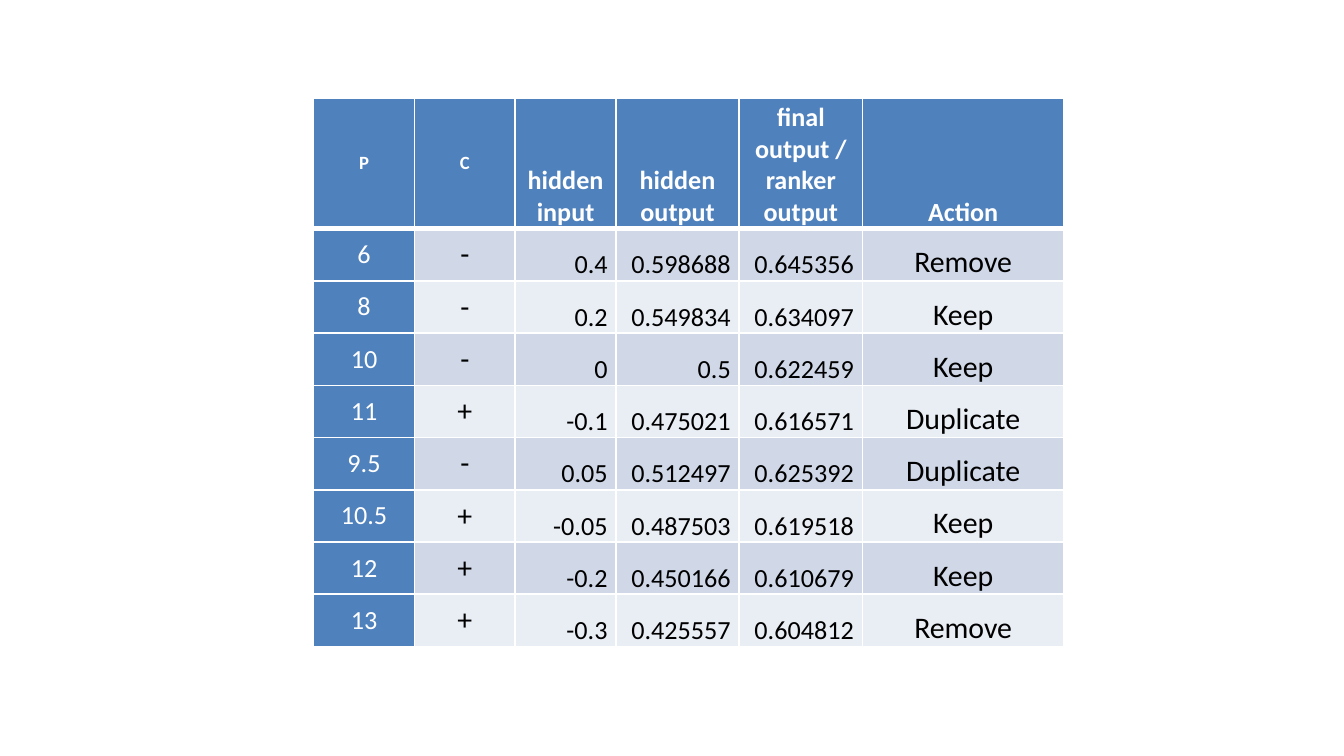
from lxml import etree
from pptx import Presentation
from pptx import util as u
from pptx.dml.color import RGBColor
from pptx.enum import text
from pptx.oxml import ns

Pt = u.Pt
CENTER, RIGHT = text.PP_ALIGN.CENTER, text.PP_ALIGN.RIGHT
MIDDLE, BOTTOM = text.MSO_ANCHOR.MIDDLE, text.MSO_ANCHOR.BOTTOM

THEME = dict(font="Calibri", accent="4F81BD", bands=("D0D8E8", "E9EDF4"),
             light="FFFFFF", dark="000000", line=1, heavy_line=3)

# heading, width, heading size, body size, body alignment, anchor
COLUMNS = [
    ("P", 54, 10, 14, CENTER, MIDDLE),
    ("C", 54, 10, 16, CENTER, MIDDLE),
    ("hidden input", 54, 14, 14, RIGHT, BOTTOM),
    ("hidden output", 66, 14, 14, RIGHT, BOTTOM),
    ("final output / ranker output", 66, 14, 14, RIGHT, BOTTOM),
    ("Action", 108, 14, 16, CENTER, BOTTOM),
]
ROWS = [
    ("6", "-", "0.4", "0.598688", "0.645356", "Remove"),
    ("8", "-", "0.2", "0.549834", "0.634097", "Keep"),
    ("10", "-", "0", "0.5", "0.622459", "Keep"),
    ("11", "+", "-0.1", "0.475021", "0.616571", "Duplicate"),
    ("9.5", "-", "0.05", "0.512497", "0.625392", "Duplicate"),
    ("10.5", "+", "-0.05", "0.487503", "0.619518", "Keep"),
    ("12", "+", "-0.2", "0.450166", "0.610679", "Keep"),
    ("13", "+", "-0.3", "0.425557", "0.604812", "Remove"),
]
LEFT, TOP, HEADER_HEIGHT, ROW_HEIGHT, SIDE_MARGIN = 168, 52.5, 70, 28, 4.5


def add_borders(cell, widths):
    """Add left, right, top and bottom lines; call before filling the cell."""
    tc_pr = cell._tc.get_or_add_tcPr()
    for side, width in zip("LRTB", widths):
        ln = etree.SubElement(tc_pr, ns.qn(f"a:ln{side}"), w=str(Pt(width)))
        fill = etree.SubElement(ln, ns.qn("a:solidFill"))
        etree.SubElement(fill, ns.qn("a:srgbClr"), val=THEME["light"])


def format_cell(cell, words, row, col):
    _, _, head_size, body_size, align, anchor = COLUMNS[col]
    header = row == 0
    accented = header or col == 0
    thin, heavy = THEME["line"], THEME["heavy_line"]
    add_borders(cell, (thin, thin, heavy if row == 1 else thin,
                       heavy if header else thin))
    cell.fill.solid()
    cell.fill.fore_color.rgb = RGBColor.from_string(
        THEME["accent"] if accented else THEME["bands"][(row - 1) % 2])
    cell.margin_left = cell.margin_right = Pt(SIDE_MARGIN)
    cell.margin_top = cell.margin_bottom = 0
    cell.vertical_anchor = anchor
    cell.text = words
    p = cell.text_frame.paragraphs[0]
    p.alignment = CENTER if header else align
    p.font.name = THEME["font"]
    p.font.size = Pt(head_size if header else body_size)
    p.font.bold = header
    p.font.color.rgb = RGBColor.from_string(THEME["light" if accented else "dark"])


def main():
    prs = Presentation()
    prs.slide_width, prs.slide_height = Pt(720), Pt(405)
    s = prs.slides.add_slide(prs.slide_layouts[6])

    grid = [[column[0] for column in COLUMNS], *ROWS]
    heights = [HEADER_HEIGHT] + [ROW_HEIGHT] * len(ROWS)
    widths = [column[1] for column in COLUMNS]
    table = s.shapes.add_table(len(grid), len(COLUMNS), Pt(LEFT), Pt(TOP),
                               Pt(sum(widths)), Pt(sum(heights))).table
    table.first_col = True
    for column, width in zip(table.columns, widths):
        column.width = Pt(width)
    for row, height in zip(table.rows, heights):
        row.height = Pt(height)
    for i, values in enumerate(grid):
        for j, words in enumerate(values):
            format_cell(table.cell(i, j), words, i, j)

    prs.save("out.pptx")


if __name__ == "__main__":
    main()
